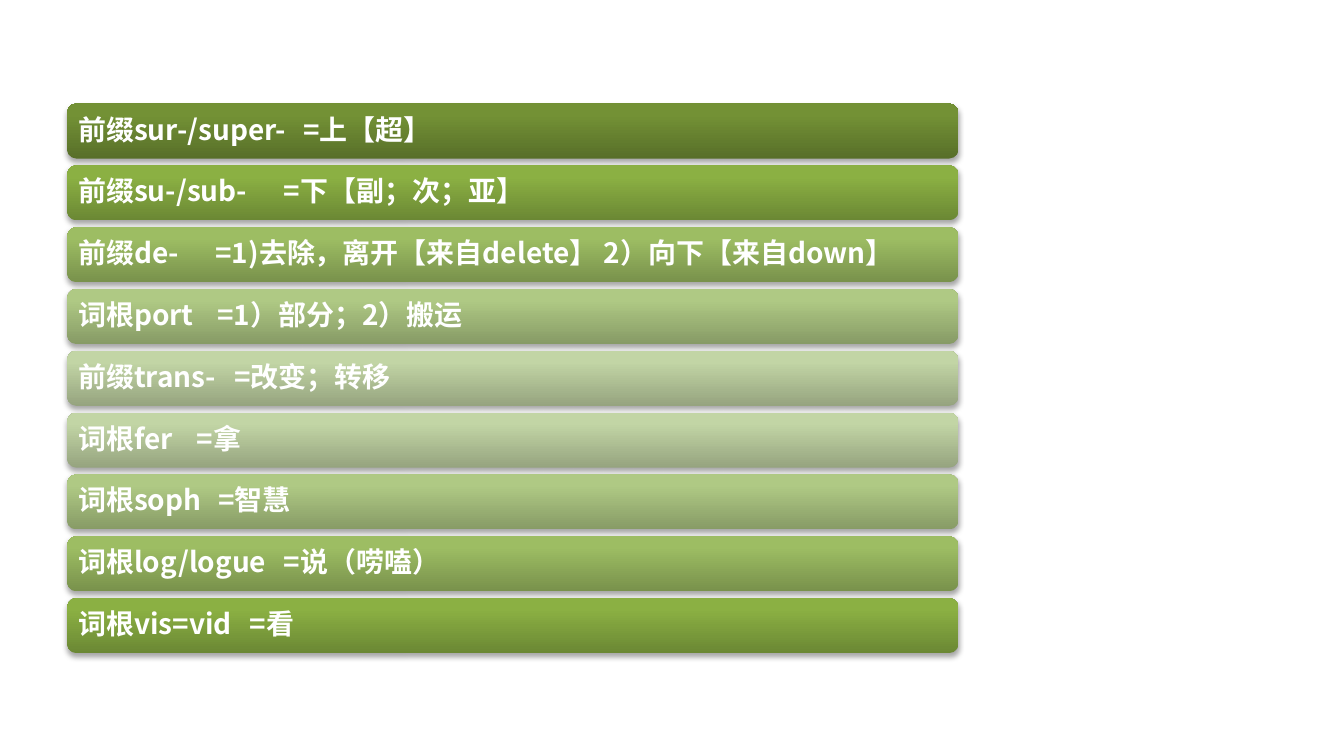
"""Build a slide of word-root and prefix meanings on graded green bars."""
from copy import deepcopy
from dataclasses import dataclass

from lxml import etree
from pptx import Presentation
from pptx.dml.color import RGBColor
from pptx.enum import shapes, text
from pptx.oxml import ns
from pptx import util as u

FONT = "Noto Sans CJK SC"
COLORS = {"label": "FFFFFF", "shadow": "000000"}
SHADES = {
    "olive": ("586F29", "739135", "749334"),
    "leaf": ("6B8834", "8BB043", "8CB341"),
    "moss": ("79924C", "9DBD63", "9EC062"),
    "sage": ("879B66", "AFC984", "B0CB84"),
    "mist": ("96A47F", "C2D5A5", "C3D7A5"),
}
STOPS = (0, 0.8, 1)
LEFT, TOP, WIDTH, HEIGHT, PITCH = 36, 55.44, 477.4, 29.5, 33.12


@dataclass
class Affix:
    """One bar: affix, meaning, tab position of the meaning and shade."""
    affix: str
    meaning: str
    tab: float
    shade: str


AFFIXES = [
    Affix("前缀sur-/super-", "=上【超】", 120.5, "olive"),
    Affix("前缀su-/sub-", "=下【副；次；亚】", 110, "leaf"),
    Affix("前缀de-", "=1)去除，离开【来自delete】 2）向下【来自down】", 73.5, "moss"),
    Affix("词根port", "=1）部分；2）搬运", 74.5, "sage"),
    Affix("前缀trans-", "=改变；转移", 83.5, "mist"),
    Affix("词根fer", "=拿", 63.5, "mist"),
    Affix("词根soph", "=智慧", 75, "sage"),
    Affix("词根log/logue", "=说（唠嗑）", 110, "moss"),
    Affix("词根vis=vid", "=看", 92, "leaf"),
]


def add_child(parent, tag: str, **attributes):
    """Append a drawing element with the given attributes."""
    values = {name: str(value) for name, value in attributes.items()}
    return etree.SubElement(parent, ns.qn(tag), values)


def shade_bar(bar, shade: str) -> None:
    """Fill the bar with a three-stop gradient that lightens upwards."""
    bar.fill.gradient()
    bar.fill.gradient_angle = 90
    stop_list = bar.fill._fill._gradFill.find(ns.qn("a:gsLst"))
    stop_list.append(deepcopy(stop_list[-1]))
    for stop, position, color in zip(bar.fill.gradient_stops, STOPS, SHADES[shade]):
        stop.position = position
        stop.color.rgb = RGBColor.from_string(color)
    bar.line.fill.background()


def drop_shadow(bar) -> None:
    """Give the bar a soft shadow below."""
    bar.shadow.inherit = False
    effects = bar._element.spPr.find(ns.qn("a:effectLst"))
    shadow = add_child(effects, "a:outerShdw", blurRad=u.Pt(3.1), dist=u.Pt(1.8),
                       dir=90 * 60000, rotWithShape=0)
    tone = add_child(shadow, "a:srgbClr", val=COLORS["shadow"])
    add_child(tone, "a:alpha", val=35000)


def write_label(bar, entry: Affix) -> None:
    """Write the affix and its meaning, parted by a tab stop."""
    frame = bar.text_frame
    frame.text = f"{entry.affix}\t{entry.meaning}"
    frame.word_wrap = True
    frame.vertical_anchor = text.MSO_ANCHOR.MIDDLE
    frame.margin_left = frame.margin_right = u.Pt(4.5)
    frame.margin_top = frame.margin_bottom = u.Pt(4.5)
    label = frame.paragraphs[0]
    label.alignment = text.PP_ALIGN.LEFT
    label.line_spacing = 0.9
    tabs = add_child(label._p.get_or_add_pPr(), "a:tabLst")
    add_child(tabs, "a:tab", pos=u.Pt(entry.tab), algn="l")
    for run in label.runs:
        run.font.size = u.Pt(15)
        run.font.bold = True
        run.font.name = FONT
        run.font.color.rgb = RGBColor.from_string(COLORS["label"])
        add_child(run.font._element, "a:ea", typeface=FONT)


def add_bar(slide, row: int, entry: Affix) -> None:
    """Draw one affix bar in its row."""
    bar = slide.shapes.add_shape(
        shapes.MSO_SHAPE.ROUNDED_RECTANGLE, u.Pt(LEFT), u.Pt(TOP + row * PITCH),
        u.Pt(WIDTH), u.Pt(HEIGHT))
    shade_bar(bar, entry.shade)
    drop_shadow(bar)
    write_label(bar, entry)


def main() -> None:
    """Build and save the slide."""
    deck = Presentation()
    deck.slide_width, deck.slide_height = u.Pt(720), u.Pt(405)
    slide = deck.slides.add_slide(deck.slide_layouts[6])
    for row, entry in enumerate(AFFIXES):
        add_bar(slide, row, entry)
    deck.save("out.pptx")


if __name__ == "__main__":
    main()
